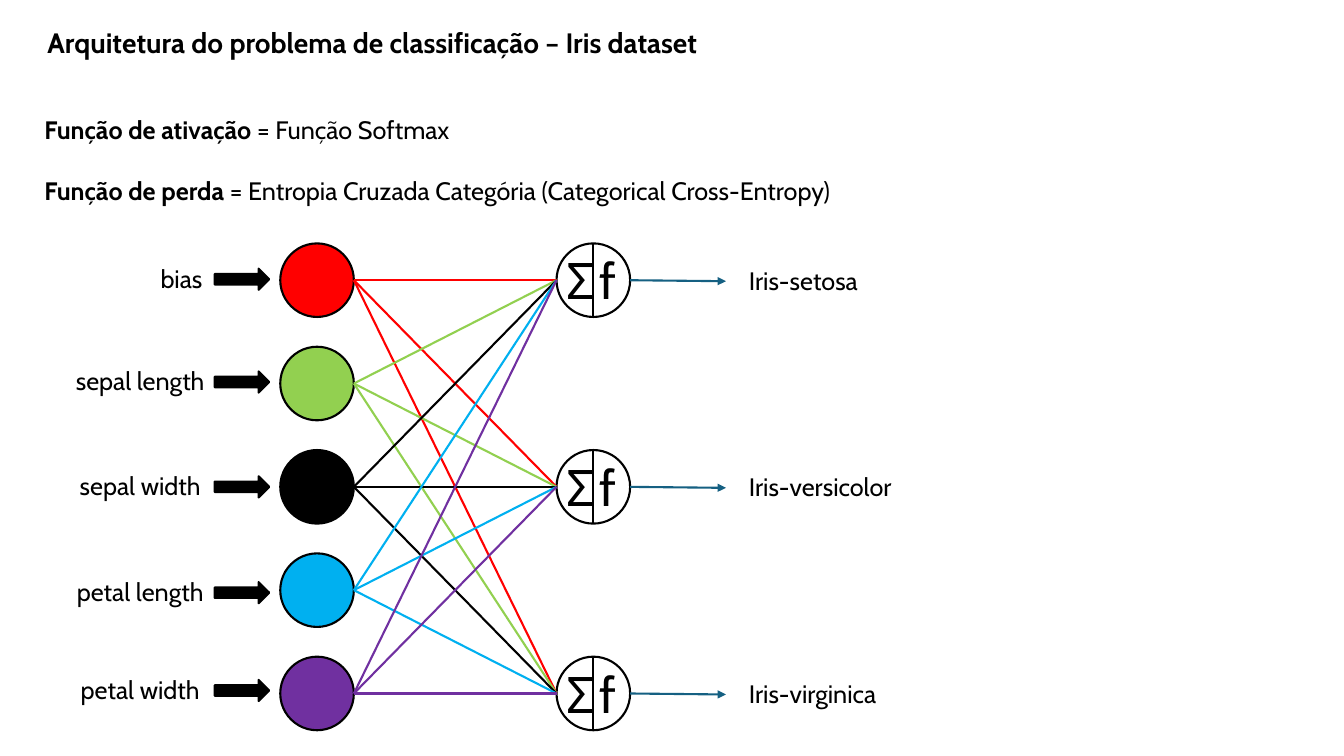
from lxml import etree
from pptx import Presentation
from pptx.dml.color import RGBColor
from pptx.enum.shapes import MSO_CONNECTOR, MSO_SHAPE
from pptx.enum.text import MSO_ANCHOR, MSO_AUTO_SIZE, PP_ALIGN
from pptx.oxml.ns import qn
from pptx.util import Inches, Pt

BLACK = RGBColor(0x00, 0x00, 0x00)
WHITE = RGBColor(0xFF, 0xFF, 0xFF)
RED = RGBColor(0xFF, 0x00, 0x00)
GREEN = RGBColor(0x92, 0xD0, 0x50)
BLUE = RGBColor(0x00, 0xB0, 0xF0)
PURPLE = RGBColor(0x70, 0x30, 0xA0)
TEAL = RGBColor(0x15, 0x60, 0x82)

TEXT_FONT = "Cabin"
SYMBOL_FONT = "Karla"
STROKE = Pt(1.5)

# Network geometry in inches
FIRST_ROW = 2.78
ROW_STEP = 1.025
DIAMETER = 0.73
INPUT_LEFT = 2.78
OUTPUT_LEFT = 5.52
LABEL_HEIGHT = 0.4
SYMBOL_HEIGHT = 0.71

# Label, its left and width, arrow centre, node colour
INPUTS = [
    ("bias", 1.35, 0.9, 2.77, RED),
    ("sepal length", 0.53, 1.72, 3.79, GREEN),
    ("sepal width", 0.53, 1.72, 4.83, BLACK),
    ("petal length", 0.53, 1.72, 5.88, BLUE),
    ("petal width", 0.53, 1.72, 6.85, PURPLE),
]
OUTPUTS = ["Iris-setosa", "Iris-versicolor", "Iris-virginica"]
DEFINITIONS = [
    ("Função de ativação ", "= Função Softmax"),
    ("Função de perda ", "= Entropia Cruzada Categória (Categorical Cross-Entropy)"),
]


def add_run(paragraph, text, size, font=TEXT_FONT, bold=False):
    run = paragraph.add_run()
    run.text = text
    run.font.name = font
    run.font.size = Pt(size)
    run.font.bold = bold
    run.font.color.rgb = BLACK


def place(shape, left, top, width, height):
    shape.left, shape.top = Inches(left), Inches(top)
    shape.width, shape.height = Inches(width), Inches(height)


def add_text(slide, text, left, middle, width, height=LABEL_HEIGHT, size=18,
             font=TEXT_FONT, align=PP_ALIGN.LEFT):
    box = slide.shapes.add_textbox(Inches(left), Inches(middle - height / 2),
                                   Inches(width), Inches(height))
    frame = box.text_frame
    frame.word_wrap = True
    frame.auto_size = MSO_AUTO_SIZE.SHAPE_TO_FIT_TEXT
    frame.paragraphs[0].alignment = align
    add_run(frame.paragraphs[0], text, size, font)


def add_shape(slide, kind, left, middle, width, height, fill):
    shape = slide.shapes.add_shape(kind, Inches(left), Inches(middle - height / 2),
                                   Inches(width), Inches(height))
    shape.shadow.inherit = False
    shape.fill.solid()
    shape.fill.fore_color.rgb = fill
    shape.line.color.rgb = BLACK
    shape.line.width = STROKE


def add_line(slide, start, end, color, arrow=False):
    line = slide.shapes.add_connector(
        MSO_CONNECTOR.STRAIGHT, *(Inches(value) for value in (*start, *end)))
    line.line.color.rgb = color
    line.line.width = STROKE
    properties = line.element.spPr
    if arrow:
        etree.SubElement(properties.find(qn("a:ln")), qn("a:tailEnd"), type="triangle")
    etree.SubElement(properties, qn("a:effectLst"))


def fill_title(slide):
    title = slide.shapes.title
    place(title, 0.37, 0.2, 8.83, 0.44)
    frame = title.text_frame
    frame.auto_size = MSO_AUTO_SIZE.NONE
    frame.vertical_anchor = MSO_ANCHOR.TOP
    frame.paragraphs[0].alignment = PP_ALIGN.LEFT
    add_run(frame.paragraphs[0],
            "Arquitetura do problema de classificação – Iris dataset", 20, bold=True)


def fill_definitions(slide):
    body = slide.placeholders[1]
    place(body, 0.34, 1.08, 8.39, 1.01)
    frame = body.text_frame
    frame.auto_size = MSO_AUTO_SIZE.NONE
    for index, (term, meaning) in enumerate(DEFINITIONS):
        paragraph = frame.add_paragraph() if index else frame.paragraphs[0]
        properties = paragraph._p.get_or_add_pPr()
        properties.set("marL", "0")
        properties.set("indent", "0")
        etree.SubElement(properties, qn("a:buNone"))
        paragraph.space_before = Pt(22 if index else 0)
        add_run(paragraph, term, 18, bold=True)
        add_run(paragraph, meaning, 18)


def add_input(slide, middle, label, left, width, arrow_middle, color):
    add_shape(slide, MSO_SHAPE.OVAL, INPUT_LEFT, middle, DIAMETER, DIAMETER, color)
    add_text(slide, label, left, arrow_middle - 0.01, width, align=PP_ALIGN.CENTER)
    add_shape(slide, MSO_SHAPE.RIGHT_ARROW, 2.13, arrow_middle, 0.54, 0.21, BLACK)


def add_output(slide, middle, label):
    radius = DIAMETER / 2
    center = OUTPUT_LEFT + radius
    add_shape(slide, MSO_SHAPE.OVAL, OUTPUT_LEFT, middle, DIAMETER, DIAMETER, WHITE)
    add_line(slide, (center, middle - radius), (center, middle + radius), BLACK)
    add_text(slide, "Σ", OUTPUT_LEFT, middle, 0.5, SYMBOL_HEIGHT, 36, SYMBOL_FONT)
    add_text(slide, "f", 5.85, middle, 0.33, SYMBOL_HEIGHT, 36)
    add_line(slide, (OUTPUT_LEFT + DIAMETER, middle), (7.2, middle + 0.01), TEAL, arrow=True)
    add_text(slide, label, 7.33, middle, 2.13)


def main():
    presentation = Presentation()
    presentation.slide_width, presentation.slide_height = Inches(13.33), Inches(7.5)
    slide = presentation.slides.add_slide(presentation.slide_layouts[1])

    # Heading and function definitions
    fill_title(slide)
    fill_definitions(slide)

    # Input and output neurons; outputs sit on every second row
    rows = [FIRST_ROW + ROW_STEP * index for index in range(len(INPUTS))]
    output_rows = rows[::2]
    for middle, details in zip(rows, INPUTS):
        add_input(slide, middle, *details)
    for middle, label in zip(output_rows, OUTPUTS):
        add_output(slide, middle, label)

    # Weights from every input to every output
    for middle, (*_, color) in zip(rows, INPUTS):
        for target in output_rows:
            add_line(slide, (INPUT_LEFT + DIAMETER, middle), (OUTPUT_LEFT, target), color)

    presentation.save("out.pptx")


if __name__ == "__main__":
    main()
